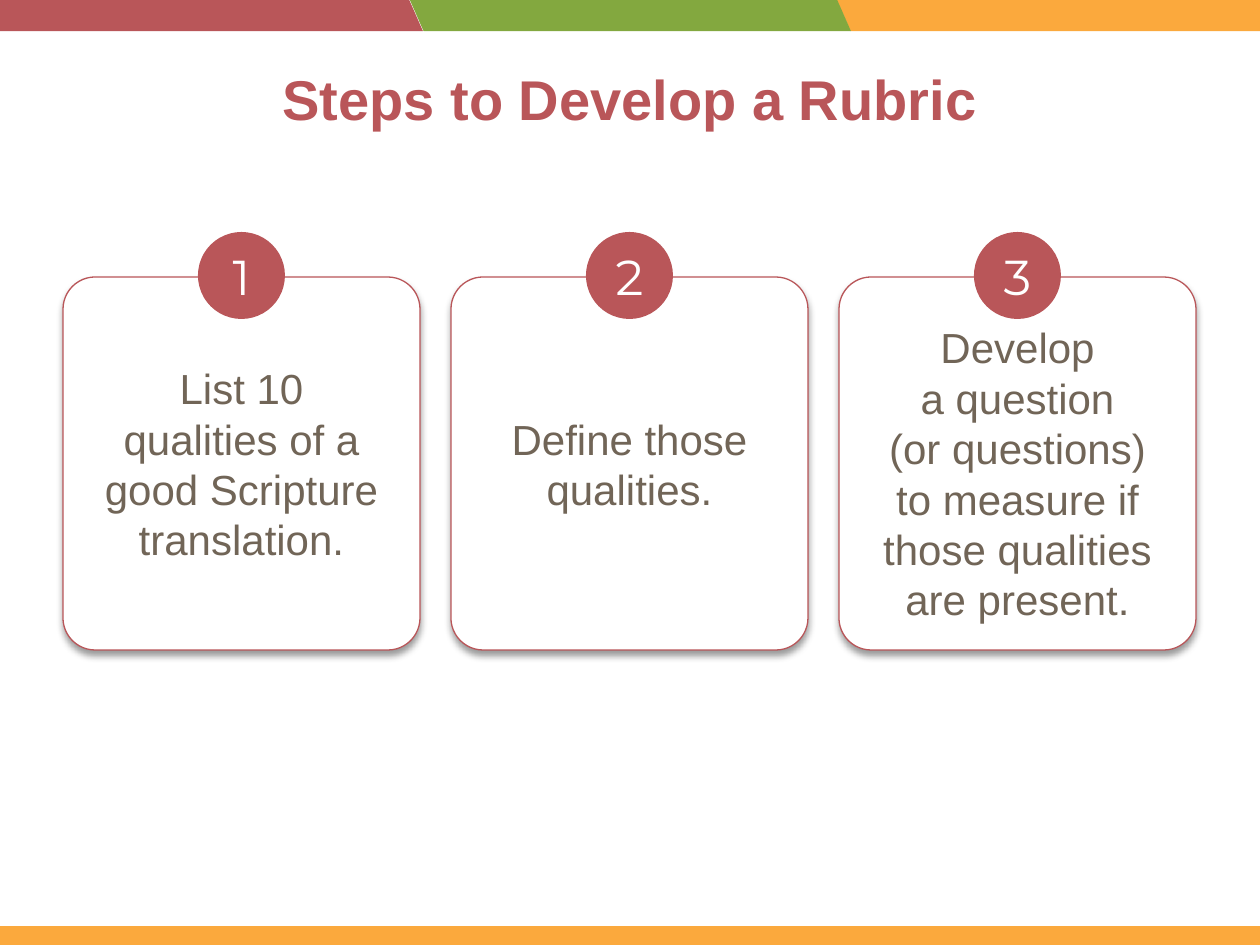
from lxml.etree import SubElement
from pptx import Presentation
from pptx.dml.color import RGBColor
from pptx.enum.shapes import MSO_SHAPE
from pptx.enum.text import MSO_ANCHOR, PP_ALIGN
from pptx.oxml.ns import qn
from pptx.util import Pt

# Content
HEAD = "Steps to Develop a Rubric"
STEPS = [
    "List 10\nqualities of a good Scripture translation.",
    "Define those qualities.",
    "Develop\na question\n(or questions)\nto measure if those qualities are present.",
]
HUES = {"red": "B95659", "green": "83A83F", "gold": "FBA93D",
        "white": "FFFFFF", "brown": "716557", "black": "000000"}
BANDS = [("gold", 837), ("red", -18), ("green", 410)]

# Formats
FONTS = {
    "head": {"name": "Arial", "size": Pt(32), "bold": True},
    "card": {"name": "Arial", "size": Pt(24), "bold": False},
    "disc": {"name": "Montserrat", "size": Pt(28), "bold": False},
}

# Sizes in px
PX = 7257  # EMU in one px, 126 px to the inch
WIDE, HIGH = 1260, 945
BAND_W, BAND_H, FOOT = 441, 31, 19
CARD_X, CARD_Y, CARD_W, CARD_H = 63, 277, 357, 373
STEP = 388  # from one card to the next
DISC, DISC_Y = 87, 232


def color(name):
    return RGBColor.from_string(HUES[name])


def box(*sides):
    return [side * PX for side in sides]


def draw(shapes, kind, at, fill):
    shape = shapes.add_shape(kind, *box(*at))
    shape.shadow.inherit = False
    shape.fill.solid()
    shape.fill.fore_color.rgb = color(fill)
    shape.line.fill.background()
    return shape


def write(shape, text, style, hue, pads, anchor=MSO_ANCHOR.MIDDLE):
    frame = shape.text_frame
    sides = ("left", "top", "right", "bottom")
    form = {f"margin_{side}": pad * PX for side, pad in zip(sides, pads)}
    form.update(word_wrap=True, vertical_anchor=anchor)
    for key, value in form.items():
        setattr(frame, key, value)
    para = frame.paragraphs[0]
    para.text = text
    para.alignment = PP_ALIGN.CENTER
    for run in para.runs:
        for key, value in FONTS[style].items():
            setattr(run.font, key, value)
        run.font.color.rgb = color(hue)


def shade(shape):
    """Soft shadow straight below the shape."""
    effect = shape.element.spPr.find(qn("a:effectLst"))
    outer = SubElement(effect, qn("a:outerShdw"), blurRad=str(Pt(4)),
                       dist=str(Pt(3)), dir="5400000", rotWithShape="0")
    tone = SubElement(outer, qn("a:srgbClr"), val=HUES["black"])
    SubElement(tone, qn("a:alpha"), val="40000")


def main():
    deck = Presentation()
    deck.slide_width, deck.slide_height = box(WIDE, HIGH)
    slide = deck.slides.add_slide(deck.slide_layouts[5])

    # Foot bar and slanted top bands
    draw(slide.shapes, MSO_SHAPE.RECTANGLE, (0, HIGH - FOOT, WIDE, FOOT), "gold")
    top = slide.shapes.add_group_shape()
    for hue, left in BANDS:
        band = draw(top.shapes, MSO_SHAPE.PARALLELOGRAM,
                    (left, 0, BAND_W, BAND_H), hue)
        band.adjustments[0] = 0.44
        band.element.spPr.find(qn("a:xfrm")).set("flipH", "1")

    # Title
    title = slide.shapes.title
    title.left, title.top, title.width, title.height = box(87, 53, 1086, 183)
    write(title, HEAD, "head", "red", (13, 12, 13, 6), MSO_ANCHOR.TOP)

    # Numbered cards
    for i, text in enumerate(STEPS):
        left = CARD_X + i * STEP
        group = slide.shapes.add_group_shape()
        card = draw(group.shapes, MSO_SHAPE.ROUNDED_RECTANGLE,
                    (left, CARD_Y, CARD_W, CARD_H), "white")
        card.adjustments[0] = 0.09
        card.line.color.rgb = color("red")
        card.line.width = Pt(0.75)
        shade(card)
        lead = 25 if i == 2 else 6  # the longest text clears its disc
        write(card, text, "card", "brown", (13, lead, 13, 6))
        disc = draw(group.shapes, MSO_SHAPE.OVAL,
                    (left + (CARD_W - DISC) // 2, DISC_Y, DISC, DISC), "red")
        write(disc, str(i + 1), "disc", "white", (0, 6, 0, 6))

    deck.save("out.pptx")


if __name__ == "__main__":
    main()
